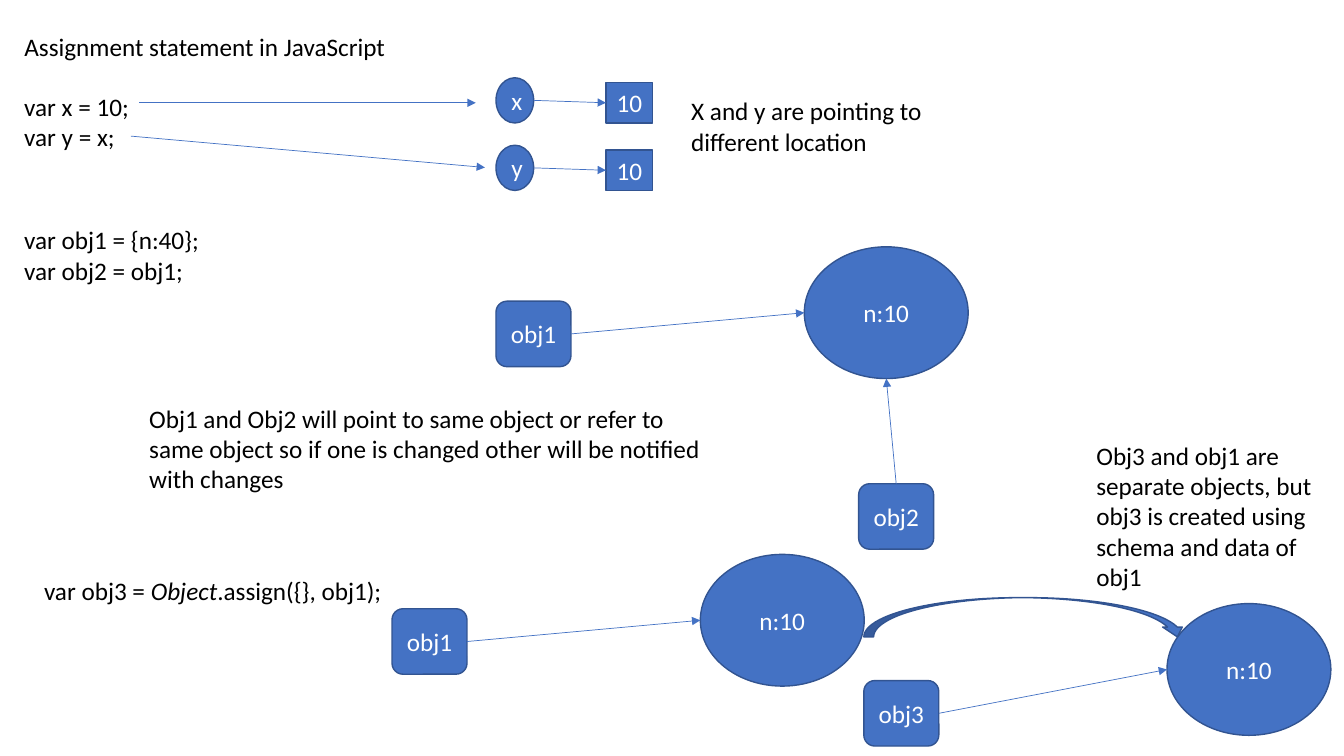
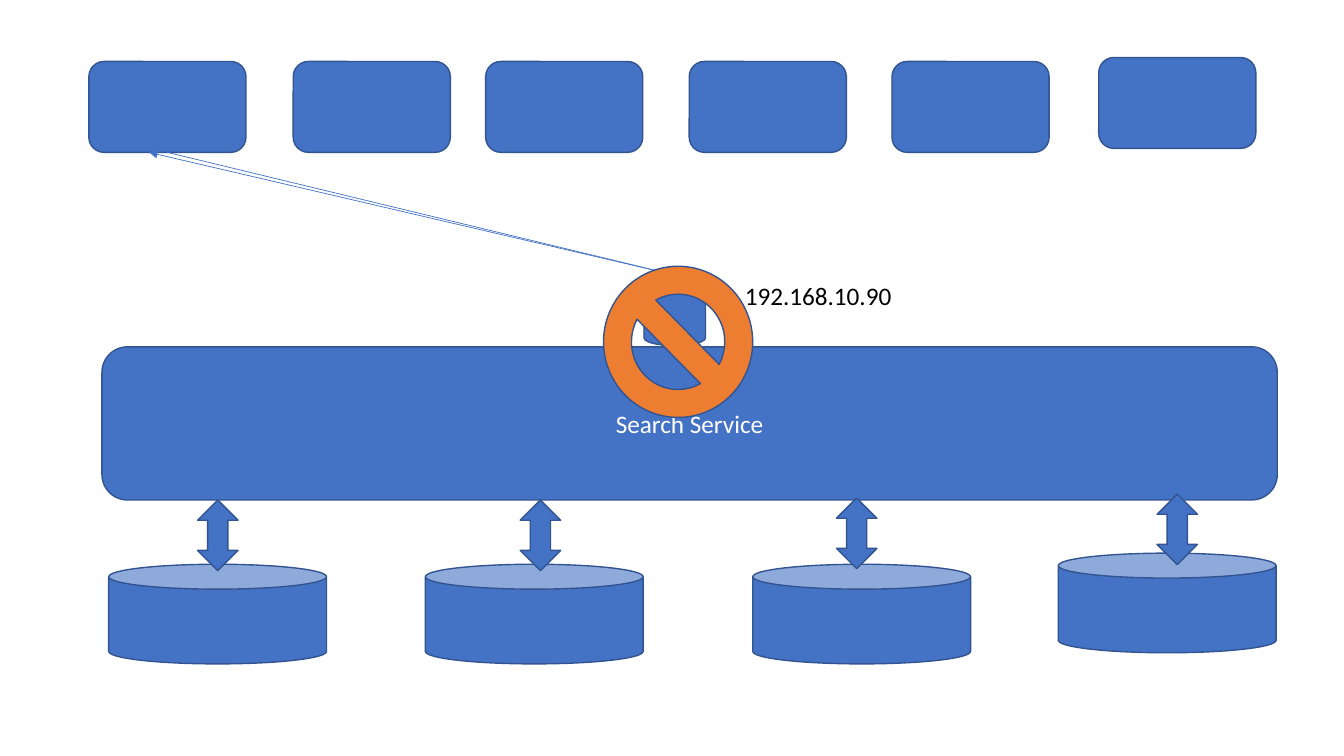
from dataclasses import dataclass

from lxml import etree
from pptx import Presentation, util as u
from pptx.dml.color import RGBColor
from pptx.enum import shapes, text
from pptx.oxml import ns
from pptx.shapes.autoshape import Shape
from pptx.slide import Slide

Kind = shapes.MSO_SHAPE
Point = tuple[float, float]


@dataclass(frozen=True)
class Theme:
    font: str = "Calibri"
    size: float = 18
    ink: RGBColor = RGBColor(0, 0, 0)
    light: RGBColor = RGBColor(255, 255, 255)
    blue: RGBColor = RGBColor(0x44, 0x72, 0xC4)
    edge: RGBColor = RGBColor(0x32, 0x54, 0x91)
    orange: RGBColor = RGBColor(0xED, 0x7D, 0x31)
    edge_width: float = 1
    arrow_width: float = 0.5


THEME = Theme()


@dataclass(frozen=True)
class Box:
    left: float
    top: float
    width: float
    height: float

    @property
    def lengths(self) -> tuple[u.Length, ...]:
        return tuple(u.Cm(v) for v in (self.left, self.top, self.width, self.height))

    @property
    def top_mid(self) -> Point:
        return self.left + self.width / 2, self.top

    @property
    def bottom_mid(self) -> Point:
        return self.left + self.width / 2, self.top + self.height

    @property
    def left_mid(self) -> Point:
        return self.left, self.top + self.height / 2

    @property
    def right_mid(self) -> Point:
        return self.left + self.width, self.top + self.height / 2


@dataclass(frozen=True)
class Node:
    kind: Kind
    box: Box
    label: str = ""
    fill: RGBColor = THEME.blue


@dataclass(frozen=True)
class Note:
    box: Box
    lines: tuple[str, ...]


def write(shape: Shape, lines: tuple[str, ...], color: RGBColor, align: text.PP_ALIGN) -> None:
    frame = shape.text_frame
    frame.word_wrap = True
    frame.text = "\n".join(lines)
    for para in frame.paragraphs:
        para.alignment = align
        para.font.name = THEME.font
        para.font.size = u.Pt(THEME.size)
        para.font.color.rgb = color


def add_node(page: Slide, node: Node) -> None:
    shape = page.shapes.add_shape(node.kind, *node.box.lengths)
    shape.shadow.inherit = False
    shape.fill.solid()
    shape.fill.fore_color.rgb = node.fill
    shape.line.color.rgb = THEME.edge
    shape.line.width = u.Pt(THEME.edge_width)
    if node.label:
        write(shape, (node.label,), THEME.light, text.PP_ALIGN.CENTER)
        shape.text_frame.vertical_anchor = text.MSO_ANCHOR.MIDDLE


def add_note(page: Slide, note: Note) -> Shape:
    shape = page.shapes.add_textbox(*note.box.lengths)
    write(shape, note.lines, THEME.ink, text.PP_ALIGN.LEFT)
    return shape


def add_title(page: Slide, note: Note) -> None:
    title = page.shapes.title
    title.left, title.top, title.width, title.height = note.box.lengths
    write(title, note.lines, THEME.ink, text.PP_ALIGN.LEFT)
    title.text_frame.vertical_anchor = text.MSO_ANCHOR.TOP
    title.text_frame.auto_size = text.MSO_AUTO_SIZE.NONE


def add_arrow(page: Slide, start: Point, end: Point) -> None:
    ends = (u.Cm(v) for v in (*start, *end))
    arrow = page.shapes.add_connector(shapes.MSO_CONNECTOR.STRAIGHT, *ends)
    arrow.line.color.rgb = THEME.blue
    arrow.line.width = u.Pt(THEME.arrow_width)
    properties = arrow.element.spPr
    outline = properties.find(ns.qn("a:ln"))
    etree.SubElement(outline, ns.qn("a:tailEnd"), type="triangle")
    etree.SubElement(properties, ns.qn("a:effectLst"))


def name_node(left: float, top: float, label: str) -> Node:
    return Node(Kind.ROUNDED_RECTANGLE, Box(left, top, 1.89, 1.65), label)


def object_node(left: float, top: float) -> Node:
    return Node(Kind.OVAL, Box(left, top, 4.13, 3.32), "n:10")


def build_assignment(page: Slide) -> None:
    add_title(page, Note(Box(0.36, 0.66, 33.17, 1.02), ("Assignment statement in JavaScript",)))
    notes = (
        Note(Box(0.36, 2.18, 33.17, 1.8), ("var x = 10;", "var y = x;")),
        Note(Box(17.17, 2.29, 8.53, 1.8), ("X and y are pointing to different location",)),
        Note(Box(0.36, 5.54, 32.16, 2.57), ("var obj1 = {n:40};", "var obj2 = obj1;")),
        Note(Box(3.51, 10.03, 14.81, 2.57), (
            "Obj1 and Obj2 will point to same object or refer to same object "
            "so if one is changed other will be notified with changes",)),
        Note(Box(27.38, 10.97, 6.6, 4.11), (
            "Obj3 and obj1 are separate objects, but obj3 is created using "
            "schema and data of obj1",)),
    )
    for note in notes:
        add_note(page, note)

    clone_code = add_note(page, Note(Box(0.86, 14.38, 30.81, 1.02), ("var obj3 = ",)))
    para = clone_code.text_frame.paragraphs[0]
    for words, italic in (("Object", True), (".assign({}, obj1);", False)):
        span = para.add_run()
        span.text = words
        span.font.italic = italic

    for row, variable in enumerate("xy"):
        drop = row * 1.7
        name = Node(Kind.OVAL, Box(12.5, 1.96 + drop, 0.95, 1.14), variable)
        value = Node(Kind.RECTANGLE, Box(15.27, 2.08 + drop, 1.18, 1.02), "10")
        add_node(page, name)
        add_node(page, value)
        add_arrow(page, name.box.right_mid, value.box.left_mid)
    add_arrow(page, (3.51, 2.59), (11.99, 2.59))
    add_arrow(page, (3.3, 3.43), (12.22, 4.22))

    shared = object_node(20.27, 6.22)
    source = object_node(17.65, 13.97)
    clone = object_node(29.41, 15.21)
    second = name_node(21.64, 12.19, "obj2")
    references = (
        (name_node(12.5, 7.59, "obj1"), shared),
        (name_node(9.88, 15.34, "obj1"), source),
        (name_node(21.77, 17.15, "obj3"), clone),
    )
    for name, target in references:
        add_node(page, target)
        add_node(page, name)
        add_arrow(page, name.box.right_mid, target.box.left_mid)
    add_node(page, second)
    add_arrow(page, second.box.top_mid, shared.box.bottom_mid)
    add_node(page, Node(Kind.CURVED_DOWN_ARROW, Box(21.77, 15.06, 8.15, 0.99)))


def build_search(page: Slide) -> None:
    clients = ((2.24, 1.55), (7.39, 1.55), (12.24, 1.55), (17.37, 1.55), (22.48, 1.55), (27.69, 1.45))
    stores = ((2.74, 14.22), (10.72, 14.22), (18.97, 14.22), (26.67, 13.94))
    links = ((4.98, 12.6), (13.11, 12.6), (21.08, 12.55), (29.16, 12.45))
    groups = (
        (Kind.CAN, 5.49, 2.51, stores),
        (Kind.ROUNDED_RECTANGLE, 3.96, 2.29, clients),
        (Kind.UP_DOWN_ARROW, 1.02, 1.78, links),
    )
    server = Node(Kind.CAN, Box(16.23, 6.93, 1.55, 1.78))
    add_node(page, Node(Kind.ROUNDED_RECTANGLE, Box(2.57, 8.74, 29.62, 3.86), "Search Service"))
    add_node(page, server)
    for kind, width, height, places in groups:
        for left, top in places:
            add_node(page, Node(kind, Box(left, top, width, height)))
    add_arrow(page, (4.22, 3.84), server.box.top_mid)
    add_arrow(page, server.box.top_mid, (3.76, 3.84))
    add_note(page, Note(Box(18.52, 6.93, 10.13, 1.07), ("192.168.10.90",)))
    add_node(page, Node(Kind.NO_SYMBOL, Box(15.21, 6.71, 3.76, 3.81), fill=THEME.orange))


def main() -> None:
    deck = Presentation()
    deck.slide_width, deck.slide_height = u.Cm(33.87), u.Cm(19.05)
    title_only, blank = deck.slide_layouts[5], deck.slide_layouts[6]
    build_assignment(deck.slides.add_slide(title_only))
    build_search(deck.slides.add_slide(blank))
    deck.save("out.pptx")


if __name__ == "__main__":
    main()
